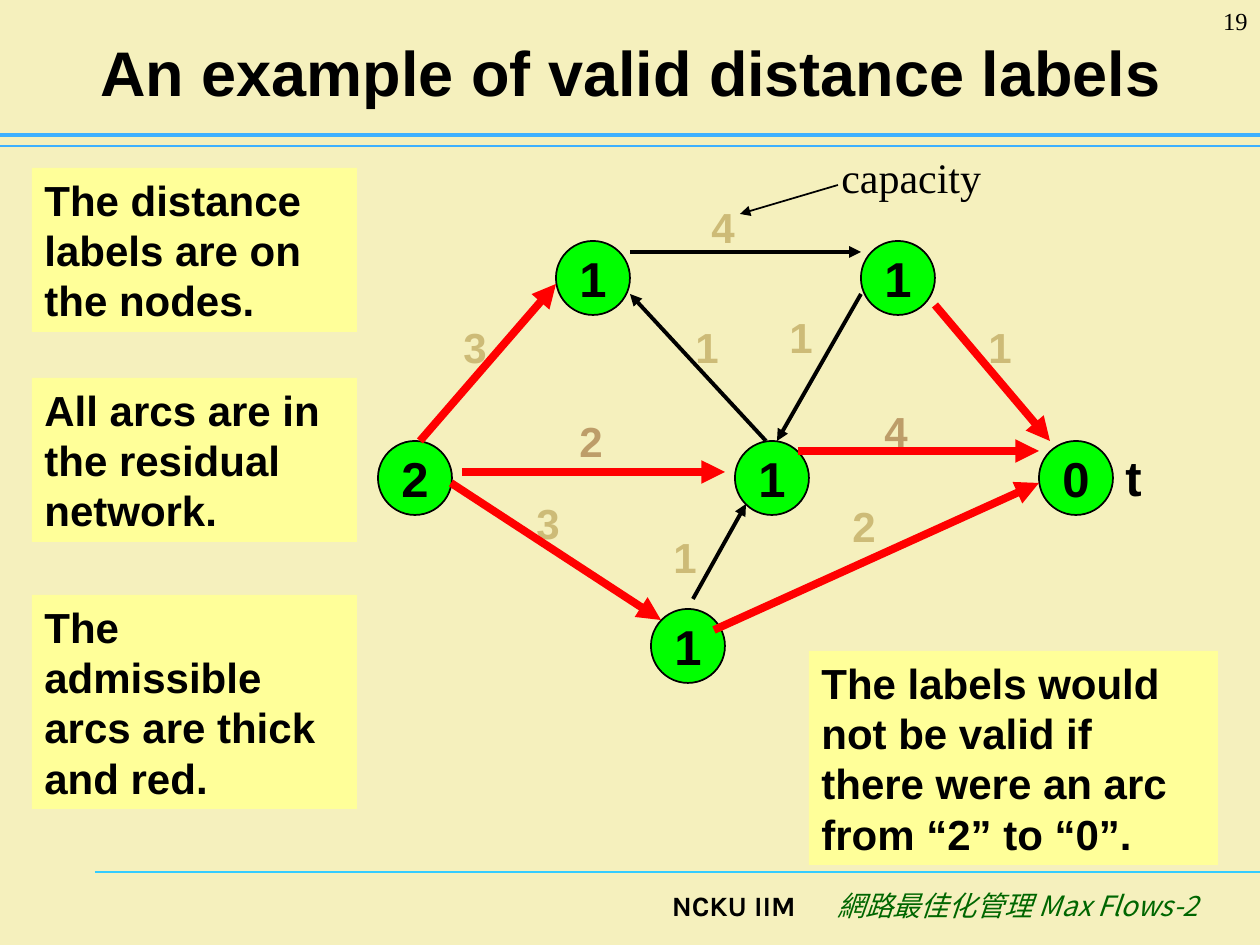
from lxml import etree
from pptx import Presentation
from pptx.dml.color import RGBColor
from pptx.enum.shapes import MSO_CONNECTOR, MSO_SHAPE
from pptx.enum.text import MSO_ANCHOR, PP_ALIGN
from pptx.oxml.ns import qn
from pptx.util import Pt

PX = 914400 // 126
LEFT, CENTER, RIGHT = PP_ALIGN.LEFT, PP_ALIGN.CENTER, PP_ALIGN.RIGHT
TOP, MIDDLE = MSO_ANCHOR.TOP, MSO_ANCHOR.MIDDLE
RECTANGLE, OVAL = MSO_SHAPE.RECTANGLE, MSO_SHAPE.OVAL
STRAIGHT = MSO_CONNECTOR.STRAIGHT

COLORS = {
    "background": "F5F0BD",
    "black": "000000",
    "red": "FF0000",
    "node": "00FF00",
    "note": "FFFF99",
    "weight": "CDBB77",
    "dark weight": "BD9D69",
    "header": "3DB0FF",
    "footer line": "33CCFF",
    "footer": "006600",
}
SERIF, SANS, CJK = "Times New Roman", "Arial", "Noto Sans CJK SC"
NODE_SIZE = 74


def rgb(name):
    return RGBColor.from_string(COLORS[name])


class NetworkSlide:
    def __init__(self, presentation):
        self.slide = presentation.slides.add_slide(presentation.slide_layouts[6])
        self.shapes = self.slide.shapes
        fill = self.slide.background.fill
        fill.solid()
        fill.fore_color.rgb = rgb("background")

    def set_text(self, shape, text, size, font=SANS, color="black", bold=True,
                 italic=False, align=LEFT, anchor=TOP, wrap=True):
        frame = shape.text_frame
        frame.text = text
        frame.word_wrap = wrap
        frame.vertical_anchor = anchor
        paragraph = frame.paragraphs[0]
        paragraph.alignment = align
        for run in paragraph.runs:
            run.font.size = Pt(size)
            run.font.name = font
            run.font.bold = bold
            run.font.italic = italic
            run.font.color.rgb = rgb(color)
            if font == CJK:
                east_asian = etree.SubElement(run.font._element, qn("a:ea"))
                east_asian.set("typeface", font)

    def label(self, text, box, size, **style):
        self.set_text(self.shapes.add_textbox(*(n * PX for n in box)), text, size, **style)

    def panel(self, kind, text, box, size, fill, outline=False, **style):
        shape = self.shapes.add_shape(kind, *(n * PX for n in box))
        shape.shadow.inherit = False
        shape.fill.solid()
        shape.fill.fore_color.rgb = rgb(fill)
        if outline:
            shape.line.color.rgb = rgb("black")
            shape.line.width = Pt(1)
        else:
            shape.line.fill.background()
        self.set_text(shape, text, size, **style)

    def node(self, text, x, y):
        self.panel(OVAL, text, (x, y, NODE_SIZE, NODE_SIZE), 28, "node",
                   outline=True, align=CENTER, anchor=MIDDLE, wrap=False)

    def weight(self, text, x, y):
        self.label(text, (x, y, NODE_SIZE, 63), 24, color="weight")

    def note(self, text, *box):
        self.panel(RECTANGLE, text, box, 24, "note")

    def line(self, ends, color, width, arrow=False):
        connector = self.shapes.add_connector(STRAIGHT, *(n * PX for n in ends))
        connector.line.color.rgb = rgb(color)
        connector.line.width = Pt(width)
        if arrow:
            tip = etree.SubElement(connector.line._get_or_add_ln(), qn("a:tailEnd"))
            tip.set("type", "triangle")
        etree.SubElement(connector._element.spPr, qn("a:effectLst"))


WEIGHTS = [
    ("1", 976, 315), ("1", 777, 305), ("2", 840, 494), ("1", 661, 525),
    ("3", 451, 315), ("3", 524, 491), ("1", 683, 315), ("4", 699, 195),
]
DARK_WEIGHTS = [("4", 872, 399), ("2", 567, 409)]
NODES = [
    ("0", 1039, 441), ("2", 378, 441), ("1", 556, 241),
    ("1", 735, 441), ("1", 861, 241), ("1", 651, 609),
]
PLAIN_ARCS = [
    (766, 441, 630, 294), (861, 294, 777, 441),
    (693, 599, 746, 504), (630, 252, 861, 252),
]
ADMISSIBLE_ARCS = [
    (420, 441, 556, 284), (451, 483, 661, 620), (798, 451, 1039, 451),
    (714, 630, 1039, 483), (935, 305, 1050, 441), (462, 472, 725, 472),
]
NOTES = [
    ("The distance labels are on the nodes.", 32, 168, 325, 164),
    ("All arcs are in the residual network.", 32, 378, 325, 164),
    ("The admissible arcs are thick and red.", 32, 595, 325, 214),
    ("The labels would not be valid if there were an arc from “2” to “0”.",
     809, 651, 409, 214),
]


def main():
    presentation = Presentation()
    presentation.slide_width = 1260 * PX
    presentation.slide_height = 945 * PX
    page = NetworkSlide(presentation)

    page.line((95, 872, 1260, 872), "footer line", 0.75)
    page.line((0, 146, 1260, 146), "header", 0.75)
    page.line((0, 135, 1260, 135), "header", 2.5)
    page.label("NCKU IIM", (630, 882, 178, 63), 16, font="Karla", align=RIGHT)
    page.label("網路最佳化管理 Max Flows-2", (808, 882, 403, 63), 16, font=CJK,
               color="footer", bold=False, italic=True, align=RIGHT)
    page.label("An example of valid distance labels", (64, 16, 1134, 110), 36,
               align=CENTER, anchor=MIDDLE)

    for text, x, y in DARK_WEIGHTS:
        page.panel(RECTANGLE, text, (x, y, NODE_SIZE, 63), 24, "background",
                   color="dark weight")
    for weight in WEIGHTS:
        page.weight(*weight)
    for arc in PLAIN_ARCS:
        page.line(arc, "black", 2.25, arrow=True)
    for node in NODES:
        page.node(*node)
    for arc in ADMISSIBLE_ARCS:
        page.line(arc, "red", 4.5, arrow=True)
    for note in NOTES:
        page.note(*note)

    page.label("t", (1113, 441, 53, 72), 28)
    page.line((838, 185, 740, 214), "black", 1, arrow=True)
    page.label("capacity", (829, 145, 165, 63), 24, font=SERIF, bold=False, wrap=False)
    page.label("19", (1155, 0, 105, 63), 14, font=SERIF, bold=False, align=RIGHT)

    presentation.save("out.pptx")


if __name__ == "__main__":
    main()
